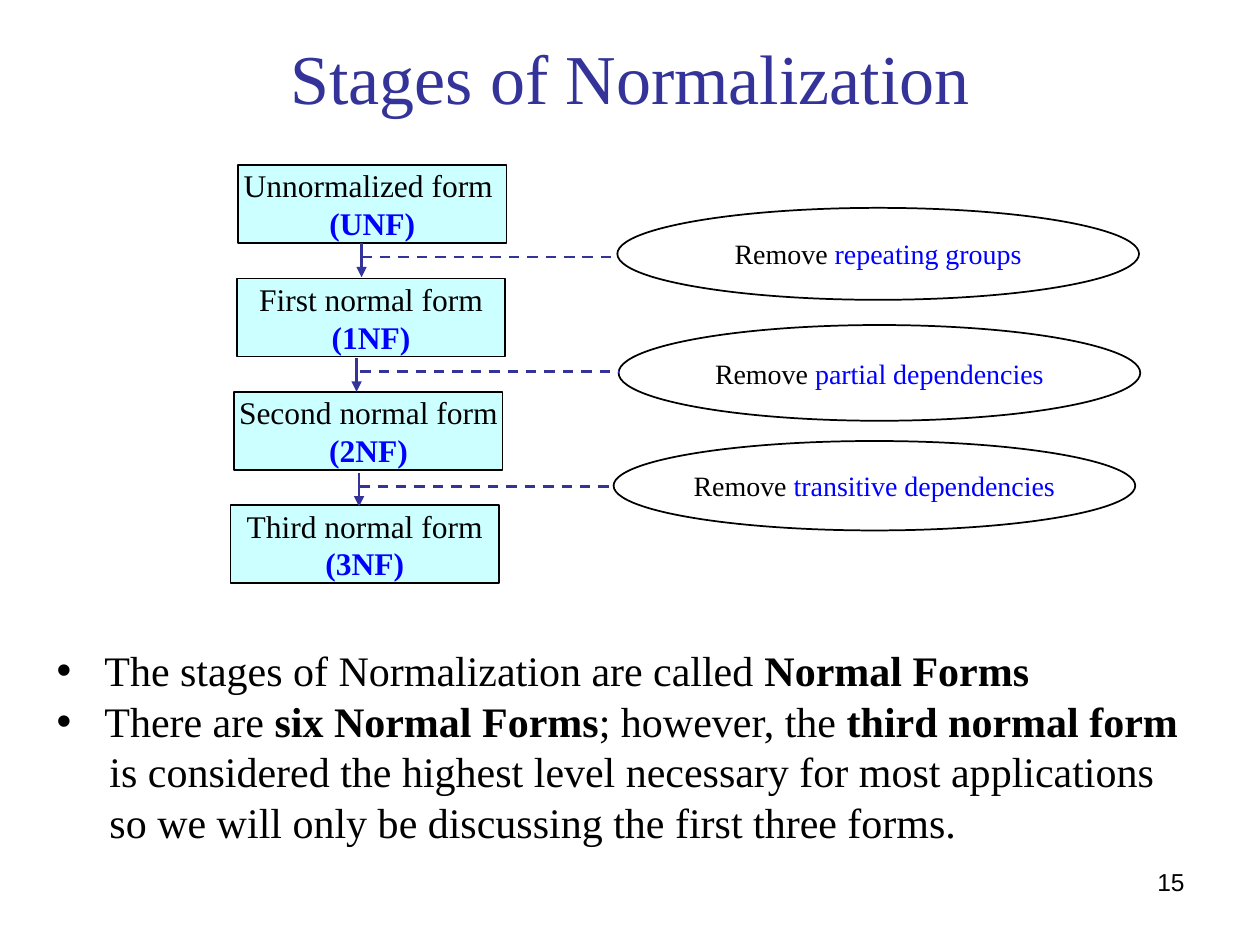
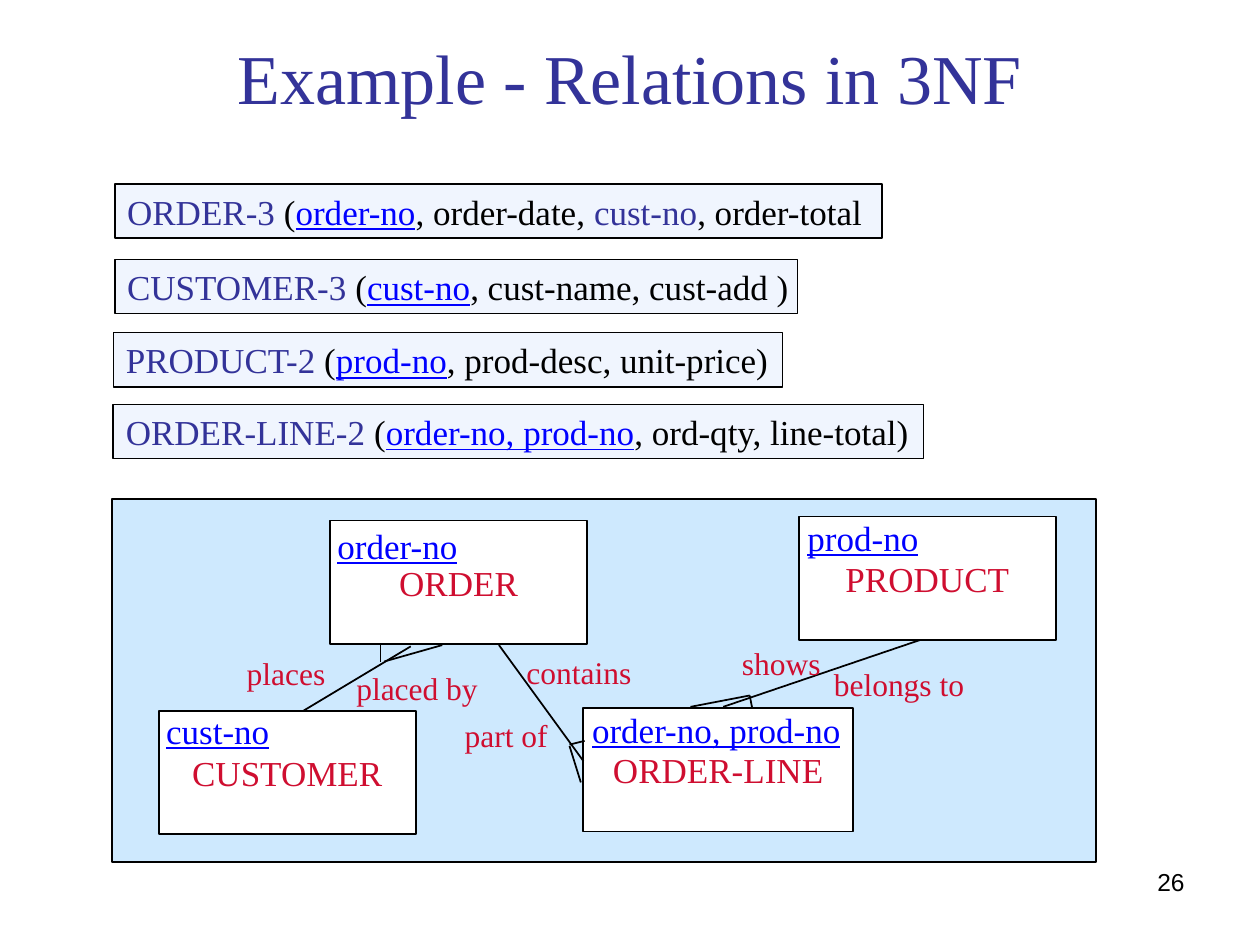
from typing import NamedTuple

from lxml.etree import SubElement
from pptx import Presentation
from pptx.dml.color import RGBColor
from pptx.enum.dml import MSO_LINE_DASH_STYLE as Dash
from pptx.enum.shapes import MSO_CONNECTOR as Connector, MSO_SHAPE as Preset
from pptx.enum.text import MSO_ANCHOR as Anchor, PP_ALIGN as Align
from pptx.oxml.ns import qn
from pptx.util import Inches, Pt

# Shared look: a grid of 100 columns by 75 rows on a 10 x 7.5 inch page
COLUMNS, ROWS = 100, 75
CELL = Inches(10) / COLUMNS
SERIF, SANS = "Times New Roman", "Arial"
COLORS = {
    "ink": "000000", "navy": "333399", "key": "0000FF", "entity": "CF0E30",
    "white": "FFFFFF", "stage": "CCFFFF", "relation": "F0F5FE", "panel": "CEE9FE",
}


class Area(NamedTuple):
    column: float
    row: float
    columns: float
    rows: float


class Span(NamedTuple):
    text: str
    color: str = "ink"
    bold: bool = False
    underline: bool = False


class Para(NamedTuple):
    spans: list[Span]
    margin: float = 0
    bullet: bool = False


class Style(NamedTuple):
    size: int
    align: Align = Align.LEFT
    anchor: Anchor = Anchor.TOP
    font: str = SERIF
    wrap: bool = True


class Stage(NamedTuple):
    name: str
    code: str
    column: float


class Step(NamedTuple):
    removes: str
    arrow_column: float
    dash_column: float
    ellipse: Area


class Relation(NamedTuple):
    area: Area
    spans: list[Span]


class Entity(NamedTuple):
    name: str
    area: Area
    key: str
    key_area: Area


class Label(NamedTuple):
    text: str
    column: float
    row: float
    columns: float


TITLE = Style(40, Align.CENTER, Anchor.MIDDLE)
NUMBER = Style(14, Align.RIGHT, font=SANS)
BODY, RELATION, LABEL = Style(24), Style(20), Style(18)
STAGE = Style(18, Align.CENTER, Anchor.MIDDLE, wrap=False)
STEP = STAGE._replace(size=16)
ENTITY = STAGE._replace(size=20)


def grid(cells: float) -> int:
    return round(cells * CELL)


def rgb(name: str) -> RGBColor:
    return RGBColor.from_string(COLORS[name])


def write(shape, paras: list[Para], style: Style) -> None:
    frame = shape.text_frame
    frame.word_wrap = style.wrap
    frame.vertical_anchor = style.anchor
    if style.align == Align.LEFT:
        frame.margin_right = 0
    for index, item in enumerate(paras):
        para = frame.paragraphs[0] if index == 0 else frame.add_paragraph()
        para.alignment = style.align
        if item.margin:
            props = para._p.get_or_add_pPr()
            props.set("marL", str(grid(item.margin)))
            props.set("indent", str(-grid(item.margin) if item.bullet else 0))
            if item.bullet:
                SubElement(props, qn("a:buFont"), typeface=SANS)
                SubElement(props, qn("a:buChar"), char="•")
        para.font.name, para.font.size = style.font, Pt(style.size)
        for span in item.spans:
            run = para.add_run()
            run.text = span.text
            font = para.font if len(item.spans) == 1 else run.font
            font.color.rgb = rgb(span.color)
            font.bold, font.underline = span.bold, span.underline


def add_text(page, area: Area, paras: list[Para], style: Style) -> None:
    write(page.shapes.add_textbox(*map(grid, area)), paras, style)


def add_box(page, area: Area, fill: str, preset: Preset = Preset.RECTANGLE):
    box = page.shapes.add_shape(preset, *map(grid, area))
    box.shadow.inherit = False
    box.fill.solid()
    box.fill.fore_color.rgb = rgb(fill)
    box.line.color.rgb = rgb("ink")
    box.line.width = Pt(1)
    return box


def add_line(page, start: tuple, end: tuple, color: str = "ink", width: float = 1,
             dashed: bool = False, arrow: bool = False) -> None:
    line = page.shapes.add_connector(Connector.STRAIGHT, *map(grid, start + end))
    line.line.color.rgb = rgb(color)
    line.line.width = Pt(width)
    if dashed:
        line.line.dash_style = Dash.DASH
    if arrow:
        SubElement(line.line._get_or_add_ln(), qn("a:tailEnd"), type="triangle")
    SubElement(line._element.spPr, qn("a:effectLst"))


def add_page(deck, title: str, number: int):
    page = deck.slides.add_slide(deck.slide_layouts[6])
    add_text(page, Area(0, 0, COLUMNS, 12.1), [Para([Span(title, "navy")])], TITLE)
    add_text(page, Area(71.7, 68.3, 23.3, 5.2), [Para([Span(str(number))])], NUMBER)
    return page


# Stages of normalization
STAGE_TOP, STAGE_PITCH = 13.1, 9
ARROW_TOP, ARROW_PITCH, ARROW_ROWS, DASH_DROP = 19.3, 9.1, 2.7, 1.1
STAGES = [
    Stage("Unnormalized form ", "(UNF)", 18.9),
    Stage("First normal form", "(1NF)", 18.8),
    Stage("Second normal form", "(2NF)", 18.6),
    Stage("Third normal form", "(3NF)", 18.3),
]
STEPS = [
    Step("repeating groups", 28.7, 28.7, Area(49, 16.5, 41.4, 7.3)),
    Step("partial dependencies", 28.3, 28.6, Area(49.1, 25.8, 41.4, 7.6)),
    Step("transitive dependencies", 28.5, 28.5, Area(48.7, 35, 41.4, 7.1)),
]
NOTES = [
    Para([Span("The stages of Normalization are called "),
          Span("Normal Forms", bold=True)], 3.8, True),
    Para([Span("There are "), Span("six Normal Forms", bold=True),
          Span("; however, the "), Span("third normal form", bold=True)], 3.8, True),
    Para([Span("is considered the highest level necessary for most applications")], 4.2),
    Para([Span("so we will only be discussing the first three forms.")], 4.2),
]


def build_stages(deck) -> None:
    page = add_page(deck, "Stages of Normalization", 15)
    for index, stage in enumerate(STAGES):
        area = Area(stage.column, STAGE_TOP + index * STAGE_PITCH, 21.3, 6.2)
        write(add_box(page, area, "stage"),
              [Para([Span(stage.name)]), Para([Span(stage.code, "key", True)])], STAGE)
    for index, step in enumerate(STEPS):
        top = ARROW_TOP + index * ARROW_PITCH
        add_line(page, (step.arrow_column, top), (step.arrow_column, top + ARROW_ROWS),
                 "navy", 1.5, arrow=True)
        write(add_box(page, step.ellipse, "white", Preset.OVAL),
              [Para([Span("Remove "), Span(step.removes, "key")])], STEP)
        add_line(page, (step.dash_column, top + DASH_DROP),
                 (step.ellipse.column, top + DASH_DROP), "navy", 1.5, dashed=True)
    add_text(page, Area(3.5, 50.7, 96.5, 21), NOTES, BODY)


# Relations in third normal form
def relation(name: str, key: str, *rest: Span) -> list[Span]:
    return [Span(name, "navy"), Span(" ("), Span(key, "key", underline=True), *rest]


RELATIONS = [
    Relation(Area(9.1, 14.6, 60.9, 4.3),
             relation("ORDER-3", "order-no", Span(", order-date, "),
                      Span("cust-no", "navy"), Span(", order-total"))),
    Relation(Area(9.1, 20.6, 54.2, 4.3),
             relation("CUSTOMER-3", "cust-no", Span(", cust-name, cust-add )"))),
    Relation(Area(9, 26.4, 53.1, 4.3),
             relation("PRODUCT-2", "prod-no", Span(", prod-desc, unit-price)"))),
    Relation(Area(9, 32.1, 64.3, 4.3),
             relation("ORDER-LINE-2", "order-no, prod-no", Span(", ord-qty, line-total)"))),
]
ENTITIES = [
    Entity("CUSTOMER", Area(12.6, 56.4, 20.4, 9.8), "cust-no", Area(12.2, 55.8, 10.2, 4.4)),
    Entity("ORDER", Area(26.2, 41.3, 20.4, 9.8), "order-no", Area(25.8, 41.1, 11.6, 4.4)),
    Entity("ORDER-LINE", Area(46.3, 56.2, 21.4, 9.8), "order-no, prod-no",
           Area(46, 55.7, 21.8, 4.4)),
    Entity("PRODUCT", Area(63.4, 41, 20.4, 9.8), "prod-no", Area(63.1, 40.5, 10.8, 4.4)),
]
LINKS = [
    ((24.1, 56.4), (32.6, 51.3)),
    ((39.6, 51.2), (46.3, 60.4)),
    ((57.4, 56.1), (73, 50.8)),
]
CROW_FEET = [
    ((45.2, 59.2), (46.1, 62.1)), ((45.2, 59.1), (46.4, 58.8)),
    ((30.2, 51.2), (30.2, 52.5)), ((30.5, 52.5), (35.1, 51.2)),
    ((54.8, 56.1), (59.5, 55.2)), ((59.5, 55.2), (59.7, 56.2)),
]
LABELS = [
    Label("places", 18.6, 51.4, 8.2), Label("placed by", 27.3, 52.6, 11.6),
    Label("contains", 40.8, 51.3, 10.3), Label("part of", 35.9, 56.3, 8.6),
    Label("shows", 57.9, 50.6, 8.2), Label("belongs to", 65.2, 52.3, 12.3),
]


def build_relations(deck) -> None:
    page = add_page(deck, "Example - Relations in 3NF", 26)
    for item in RELATIONS:
        write(add_box(page, item.area, "relation"), [Para(item.spans)], RELATION)
    add_box(page, Area(8.9, 39.6, 78.1, 28.8), "panel")
    for entity in ENTITIES:
        write(add_box(page, entity.area, "white"),
              [Para([Span(entity.name, "entity")])], ENTITY)
        add_text(page, entity.key_area,
                 [Para([Span(entity.key, "key", underline=True)])], RELATION)
    for start, end in LINKS + CROW_FEET:
        add_line(page, start, end)
    for label in LABELS:
        add_text(page, Area(label.column, label.row, label.columns, 4),
                 [Para([Span(label.text, "entity")])], LABEL)


def main() -> None:
    deck = Presentation()
    deck.slide_width, deck.slide_height = grid(COLUMNS), grid(ROWS)
    build_stages(deck)
    build_relations(deck)
    deck.save("out.pptx")


if __name__ == "__main__":
    main()
